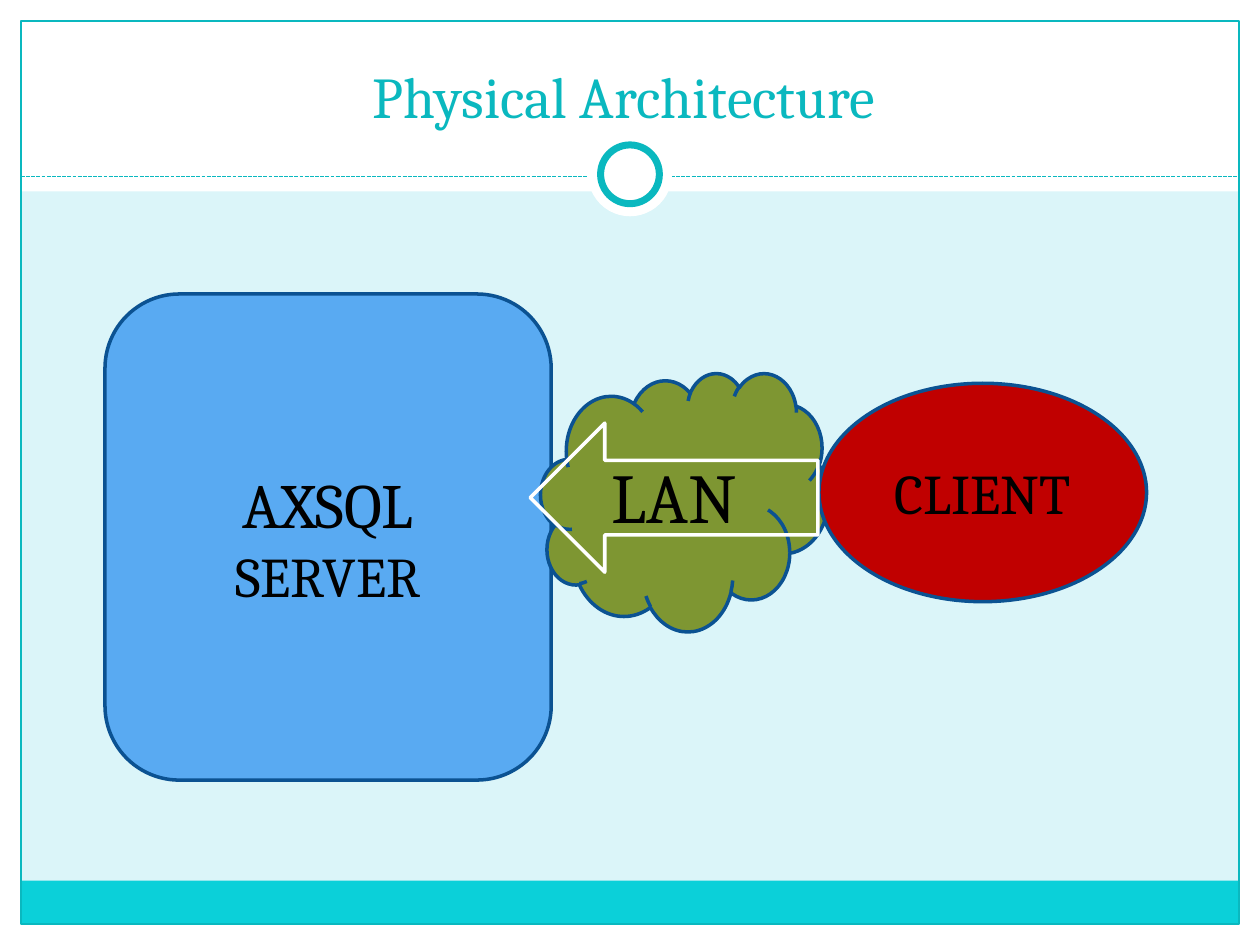
from dataclasses import dataclass

from pptx import Presentation
from pptx.dml.color import RGBColor
from pptx.enum.dml import MSO_LINE
from pptx.enum.shapes import MSO_CONNECTOR, MSO_SHAPE as SHAPE
from pptx.enum.text import MSO_ANCHOR as ANCHOR, MSO_AUTO_SIZE, PP_ALIGN
from pptx.oxml.ns import qn
from pptx.util import Inches, Pt
from lxml.etree import SubElement

COLS, ROWS = 60, 45
UNIT = Inches(10) // COLS


@dataclass(frozen=True)
class Theme:
    font: str = "Cambria"
    background: str = "DBF5F9"
    white: str = "FFFFFF"
    text: str = "000000"
    accent: str = "0AB8BF"
    footer: str = "0BD0D9"
    outline: str = "0B5292"
    server: str = "59AAF2"
    network: str = "7E9632"
    client: str = "C00000"
    title_size: float = 33
    node_size: float = 32
    server_size: float = 36
    network_size: float = 40
    hairline: float = 0.75
    border: float = 2
    ring: float = 4


THEME = Theme()


def grid(*cells):
    return [round(c * UNIT) for c in cells]


def rgb(color):
    return RGBColor.from_string(color)


def add_shape(slide, kind, cells, fill=None, line=None, width=THEME.border):
    s = slide.shapes.add_shape(kind, *grid(*cells))
    s.shadow.inherit = False
    if fill:
        s.fill.solid()
        s.fill.fore_color.rgb = rgb(fill)
    else:
        s.fill.background()
    if line:
        s.line.color.rgb = rgb(line)
        s.line.width = Pt(width)
    else:
        s.line.fill.background()
    return s


def write(s, lines, color, anchor):
    tf = s.text_frame
    tf.word_wrap = True
    tf.auto_size = MSO_AUTO_SIZE.NONE
    tf.vertical_anchor = anchor
    for i, (text, size) in enumerate(lines):
        p = tf.add_paragraph() if i else tf.paragraphs[0]
        p.text = text
        p.alignment = PP_ALIGN.CENTER
        p.font.name = THEME.font
        p.font.size = Pt(size)
        p.font.color.rgb = rgb(color)


def add_node(slide, kind, cells, fill, lines):
    s = add_shape(slide, kind, cells, fill, THEME.outline)
    write(s, lines, THEME.text, ANCHOR.MIDDLE)


def add_divider(slide, row):
    c = slide.shapes.add_connector(MSO_CONNECTOR.STRAIGHT, *grid(1, row, COLS - 1, row))
    c.line.color.rgb = rgb(THEME.accent)
    c.line.width = Pt(THEME.hairline)
    c.line.dash_style = MSO_LINE.SQUARE_DOT
    SubElement(c._element.spPr, qn("a:effectLst"))


def add_frame(slide):
    margins = [
        (0, ROWS - 1, COLS, 1),
        (0, 0, COLS, 9.12),
        (0, 0, 1, ROWS),
        (COLS - 1, 0, 1, ROWS),
    ]
    for cells in margins:
        add_shape(slide, SHAPE.RECTANGLE, cells, THEME.white)
    add_shape(slide, SHAPE.RECTANGLE, (1, 41.94, COLS - 2, 2.06), THEME.footer)
    add_shape(slide, SHAPE.RECTANGLE, (1, 1, COLS - 2, ROWS - 2),
              line=THEME.accent, width=THEME.hairline)
    add_divider(slide, 8.4)
    add_shape(slide, SHAPE.OVAL, (28, 6.3, 4, 4), THEME.white)
    add_shape(slide, SHAPE.OVAL, (28.6, 6.9, 2.8, 2.8),
              THEME.white, THEME.accent, THEME.ring)


def add_title(slide, text):
    s = slide.shapes.title
    s.left, s.top, s.width, s.height = grid(2, 1.5, COLS - 4, 5)
    write(s, [(text, THEME.title_size)], THEME.accent, ANCHOR.BOTTOM)
    slide.shapes._spTree.append(s._element)


def main():
    prs = Presentation()
    prs.slide_width, prs.slide_height = grid(COLS, ROWS)
    slide = prs.slides.add_slide(prs.slide_layouts[5])
    slide.background.fill.solid()
    slide.background.fill.fore_color.rgb = rgb(THEME.background)

    add_frame(slide)
    add_title(slide, "Physical Architecture ")
    add_node(slide, SHAPE.ROUNDED_RECTANGLE, (5, 14, 21.25, 23.15), THEME.server,
             [("AXSQL", THEME.server_size), ("SERVER", THEME.node_size)])
    add_node(slide, SHAPE.CLOUD, (25.75, 17.75, 13.7, 12.3), THEME.network,
             [("LAN", THEME.network_size)])
    add_node(slide, SHAPE.OVAL, (39, 18.25, 15.6, 10.4), THEME.client,
             [("CLIENT", THEME.node_size)])
    add_shape(slide, SHAPE.LEFT_ARROW, (25.25, 20.15, 13.7, 7.1), line=THEME.white)
    prs.save("out.pptx")


if __name__ == "__main__":
    main()
